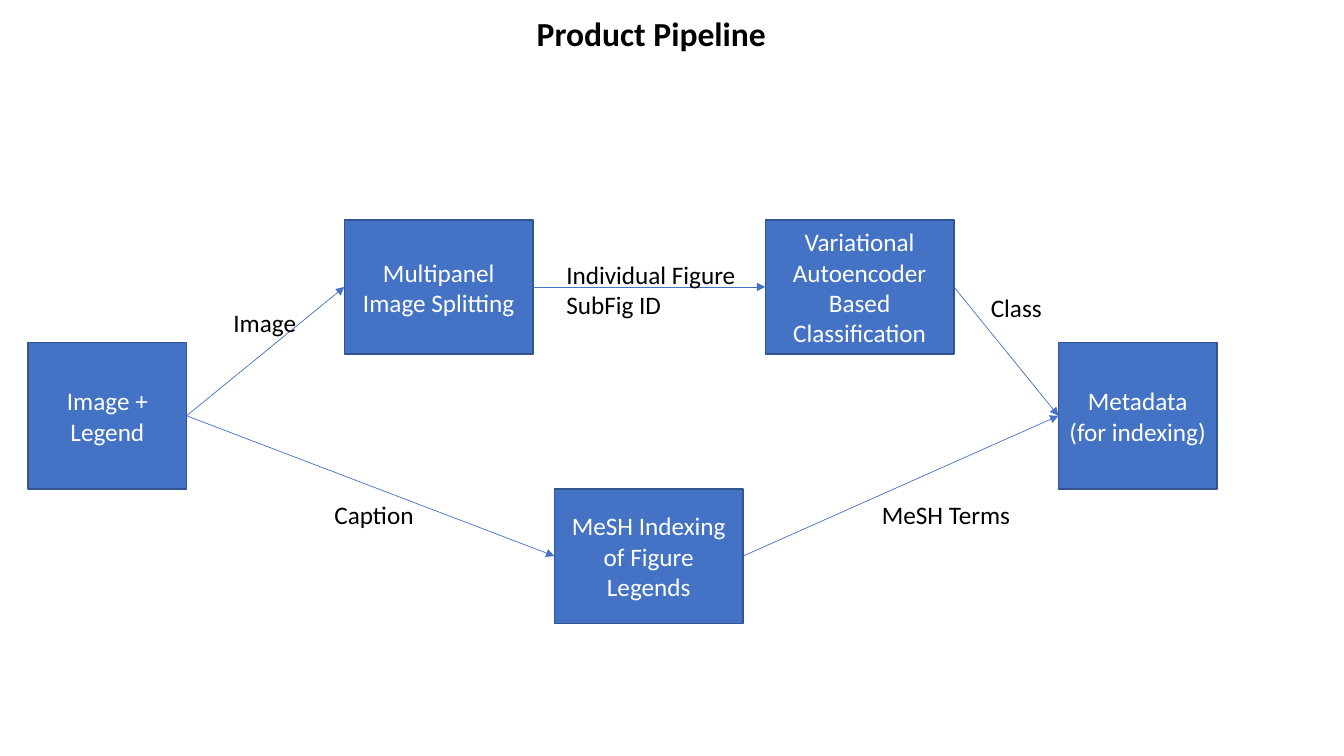
from dataclasses import dataclass

from lxml.etree import SubElement
from pptx import Presentation
from pptx.dml.color import RGBColor
from pptx.enum.shapes import MSO_CONNECTOR, MSO_SHAPE
from pptx.enum.text import MSO_ANCHOR, MSO_AUTO_SIZE, PP_ALIGN
from pptx.oxml.ns import qn
from pptx.shapes.autoshape import Shape
from pptx.slide import Slide
from pptx.text.text import TextFrame
from pptx.util import Pt

BLUE, DARK_BLUE, WHITE, BLACK = "4472C4", "325491", "FFFFFF", "000000"
RIGHT_SIDE, LEFT_SIDE = 3, 1
STAGE_SIZE = (134.8, 96)
ENDPOINT_SIZE = (113.2, 104.4)
BODY_FORMAT = {"name": "Calibri", "size": Pt(18), "bold": False}
TITLE_FORMAT = BODY_FORMAT | {"size": Pt(24), "bold": True}


@dataclass(frozen=True)
class Step:
    text: str
    left: float
    top: float
    size: tuple[float, float]


@dataclass(frozen=True)
class Flow:
    source: str
    target: str


@dataclass(frozen=True)
class Label:
    text: str
    left: float
    top: float
    width: float
    height: float = 29.1


STEPS = {
    "classification": Step("Variational Autoencoder\nBased Classification", 546.6, 157, STAGE_SIZE),
    "splitting": Step("Multipanel Image Splitting", 246, 157, STAGE_SIZE),
    "mesh": Step("MeSH Indexing of Figure Legends", 396, 349.2, STAGE_SIZE),
    "input": Step("Image + Legend", 20.1, 244.8, ENDPOINT_SIZE),
    "metadata": Step("Metadata\n(for indexing)", 756, 244.8, ENDPOINT_SIZE),
}
FLOWS = [
    Flow("splitting", "classification"),
    Flow("input", "splitting"),
    Flow("input", "mesh"),
    Flow("mesh", "metadata"),
    Flow("classification", "metadata"),
]
LABELS = [
    Label("Image", 159.6, 216.3, 59.5),
    Label("Caption", 231.8, 352.8, 72),
    Label("Individual Figure\nSubFig ID", 397.4, 181.5, 136.6, 50.9),
    Label("MeSH Terms", 622.8, 352.8, 107.1),
    Label("Class", 700.6, 205.4, 51.4),
]
TITLE = Label("Product Pipeline", 376.3, 6, 180, 36.4)


def color(hex_code: str) -> RGBColor:
    return RGBColor.from_string(hex_code)


def write(frame: TextFrame, text: str, text_format: dict, text_color: str,
          align: PP_ALIGN) -> None:
    frame.text = text
    for paragraph in frame.paragraphs:
        paragraph.alignment = align
        for run in paragraph.runs:
            for attribute, value in text_format.items():
                setattr(run.font, attribute, value)
            run.font.color.rgb = color(text_color)


def draw_step(slide: Slide, step: Step) -> Shape:
    box = slide.shapes.add_shape(
        MSO_SHAPE.RECTANGLE, Pt(step.left), Pt(step.top), *map(Pt, step.size))
    box.shadow.inherit = False
    box.fill.solid()
    box.fill.fore_color.rgb = color(BLUE)
    box.line.color.rgb = color(DARK_BLUE)
    box.line.width = Pt(1)
    box.text_frame.word_wrap = True
    box.text_frame.vertical_anchor = MSO_ANCHOR.MIDDLE
    write(box.text_frame, step.text, BODY_FORMAT, WHITE, PP_ALIGN.CENTER)
    return box


def draw_flow(slide: Slide, source: Shape, target: Shape) -> None:
    arrow = slide.shapes.add_connector(MSO_CONNECTOR.STRAIGHT, 0, 0, 0, 0)
    arrow.begin_connect(source, RIGHT_SIDE)
    arrow.end_connect(target, LEFT_SIDE)
    arrow.line.color.rgb = color(BLUE)
    arrow.line.width = Pt(0.5)
    properties = arrow.line._get_or_add_ln().getparent()
    SubElement(arrow.line._get_or_add_ln(), qn("a:tailEnd"), type="triangle")
    SubElement(properties, qn("a:effectLst"))


def draw_label(slide: Slide, label: Label, text_format: dict) -> None:
    box = slide.shapes.add_textbox(
        Pt(label.left), Pt(label.top), Pt(label.width), Pt(label.height))
    box.text_frame.word_wrap = False
    box.text_frame.auto_size = MSO_AUTO_SIZE.SHAPE_TO_FIT_TEXT
    write(box.text_frame, label.text, text_format, BLACK, PP_ALIGN.LEFT)


def main() -> None:
    deck = Presentation()
    deck.slide_width, deck.slide_height = Pt(960), Pt(540)
    slide = deck.slides.add_slide(deck.slide_layouts[6])

    # Pipeline steps and the flows between them
    boxes = {key: draw_step(slide, step) for key, step in STEPS.items()}
    for flow in FLOWS:
        draw_flow(slide, boxes[flow.source], boxes[flow.target])

    # Flow labels and title
    for label in LABELS:
        draw_label(slide, label, BODY_FORMAT)
    draw_label(slide, TITLE, TITLE_FORMAT)

    deck.save("out.pptx")


if __name__ == "__main__":
    main()
